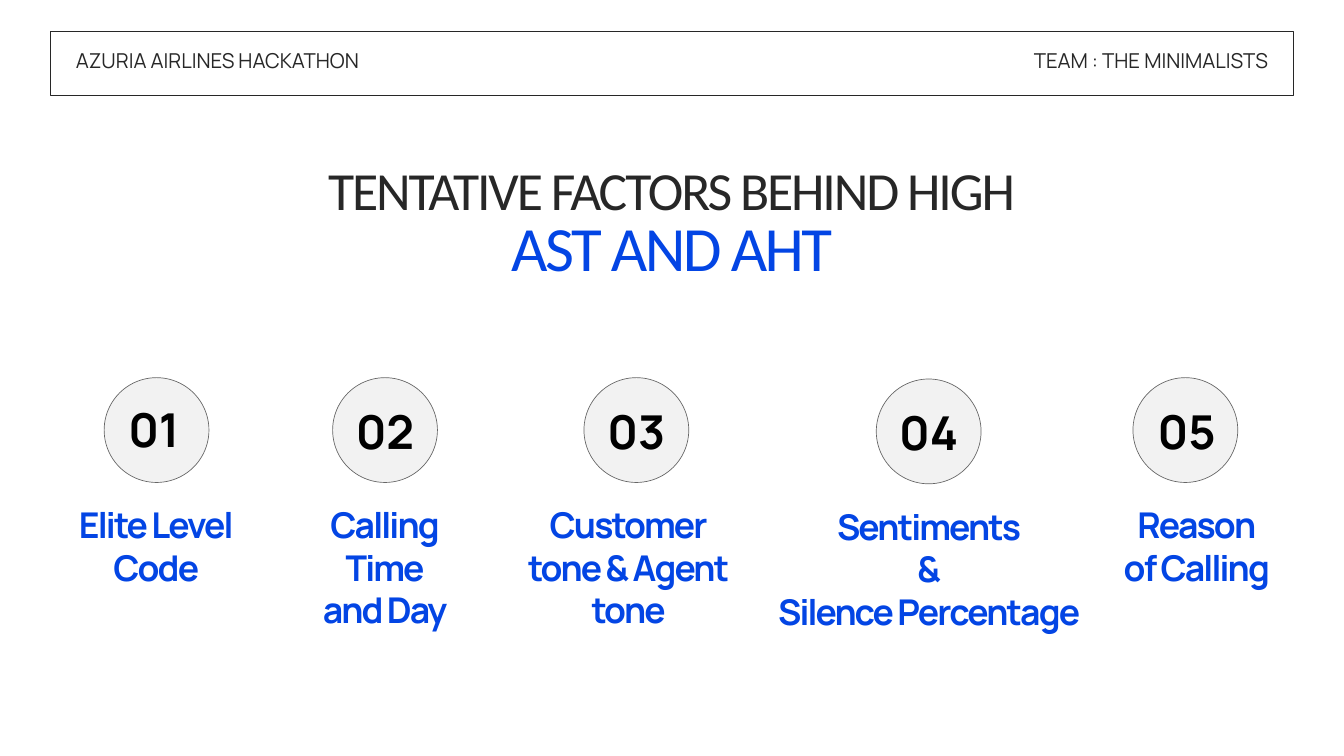
from dataclasses import dataclass

from pptx import Presentation
from pptx.dml.color import RGBColor
from pptx.enum.shapes import MSO_SHAPE as Shape
from pptx.enum.text import MSO_ANCHOR as Anchor, MSO_AUTO_SIZE as AutoSize, PP_ALIGN as Align
from pptx.oxml.ns import qn
from pptx.util import Pt
from lxml.etree import SubElement

PX = 9144


@dataclass(frozen=True)
class Theme:
    ink: str = "272727"
    black: str = "000000"
    accent: str = "0345E4"
    disc: str = "E9E9E9"
    disc_alpha: int = 59
    heading_font: str = "Calibri"
    body_font: str = "Manrope"
    header_size: float = 22
    title_size: float = 57.5
    topic_size: float = 67.5
    number_size: float = 50
    caption_size: float = 38


THEME = Theme()
DISC_SIZE = 156
NUMBER_WIDTH = 124

# disc centre, disc top, number centre, number top, caption centre, caption width, caption
FACTORS = [
    (233, 562, 229, 582, 232, 241, ["Elite Level", "Code"]),
    (573, 562, 573, 585, 573, 206, ["Calling", "Time", "and Day"]),
    (947, 562, 947, 585, 935, 327, ["Customer", "tone & Agent", "tone"]),
    (1382, 564, 1382, 587, 1382, 471, ["Sentiments", "&", "Silence Percentage"]),
    (1764, 562, 1766, 585, 1781, 230, ["Reason", "of Calling"]),
]


def emu(*lengths):
    return [length * PX for length in lengths]


def rgb(color):
    return RGBColor.from_string(color)


def write(frame, line, *, size, color, font=THEME.body_font, bold=False,
          align=Align.CENTER, leading=None, tracking=0):
    paragraph = frame.add_paragraph() if frame.text else frame.paragraphs[0]
    paragraph.alignment = align
    paragraph.line_spacing = Pt(leading or size)
    paragraph.space_before = paragraph.space_after = Pt(0)
    run = paragraph.add_run()
    run.text = line
    run.font.size = Pt(size)
    run.font.name = font
    run.font.bold = bold
    run.font.color.rgb = rgb(color)
    if tracking:
        run.font._element.set("spc", str(int(tracking * 100)))


def prepare_frame(frame):
    frame.margin_left = frame.margin_right = frame.margin_top = frame.margin_bottom = 0
    frame.word_wrap = True
    frame.auto_size = AutoSize.NONE
    frame.vertical_anchor = Anchor.TOP
    return frame


def add_text(slide, box, lines, **style):
    frame = prepare_frame(slide.shapes.add_textbox(*emu(*box)).text_frame)
    for line in lines:
        write(frame, line, **style)


def add_outlined(slide, preset, box, line_color, fill=None, alpha=100):
    shape = slide.shapes.add_shape(preset, *emu(*box))
    shape.shadow.inherit = False
    shape.line.color.rgb = rgb(line_color)
    shape.line.width = Pt(0.75)
    if fill:
        shape.fill.solid()
        shape.fill.fore_color.rgb = rgb(fill)
    else:
        shape.fill.background()
    if alpha < 100:
        for color in shape._element.spPr.iter(qn("a:srgbClr")):
            SubElement(color, qn("a:alpha")).set("val", str(alpha * 1000))


def add_header(slide):
    add_outlined(slide, Shape.RECTANGLE, (75, 46, 1850, 96), THEME.ink)
    style = dict(size=THEME.header_size, color=THEME.ink)
    add_text(slide, (113, 78, 458, 34), ["AZURIA AIRLINES HACKATHON"], align=Align.LEFT, **style)
    add_text(slide, (1505, 78, 382, 34), ["TEAM : THE MINIMALISTS"], align=Align.RIGHT, **style)


def add_title(slide):
    title = slide.shapes.title
    title.left, title.top, title.width, title.height = emu(262, 249, 1475, 178)
    frame = prepare_frame(title.text_frame)
    write(frame, "TENTATIVE FACTORS BEHIND HIGH", size=THEME.title_size, color=THEME.ink,
          font=THEME.heading_font, tracking=-2.3)
    write(frame, "AST AND AHT", size=THEME.topic_size, color=THEME.accent,
          font=THEME.heading_font, tracking=-2.7)


def add_factor(slide, number, factor):
    disc_x, disc_top, number_x, number_top, caption_x, caption_width, caption = factor
    add_outlined(slide, Shape.OVAL, (disc_x - DISC_SIZE // 2, disc_top, DISC_SIZE, DISC_SIZE),
                 THEME.black, fill=THEME.disc, alpha=THEME.disc_alpha)
    add_text(slide, (number_x - NUMBER_WIDTH // 2, number_top, NUMBER_WIDTH, 99),
             [f"{number:02d}"], size=THEME.number_size, color=THEME.black, bold=True, leading=70)
    add_text(slide, (caption_x - caption_width // 2, disc_top + 187, caption_width, 64 * len(caption)),
             caption, size=THEME.caption_size, color=THEME.accent, bold=True,
             leading=45.6, tracking=-2)


def main():
    deck = Presentation()
    deck.slide_width, deck.slide_height = emu(2000, 1125)
    slide = deck.slides.add_slide(deck.slide_layouts[5])
    add_header(slide)
    add_title(slide)
    for number, factor in enumerate(FACTORS, start=1):
        add_factor(slide, number, factor)
    deck.save("out.pptx")


if __name__ == "__main__":
    main()
